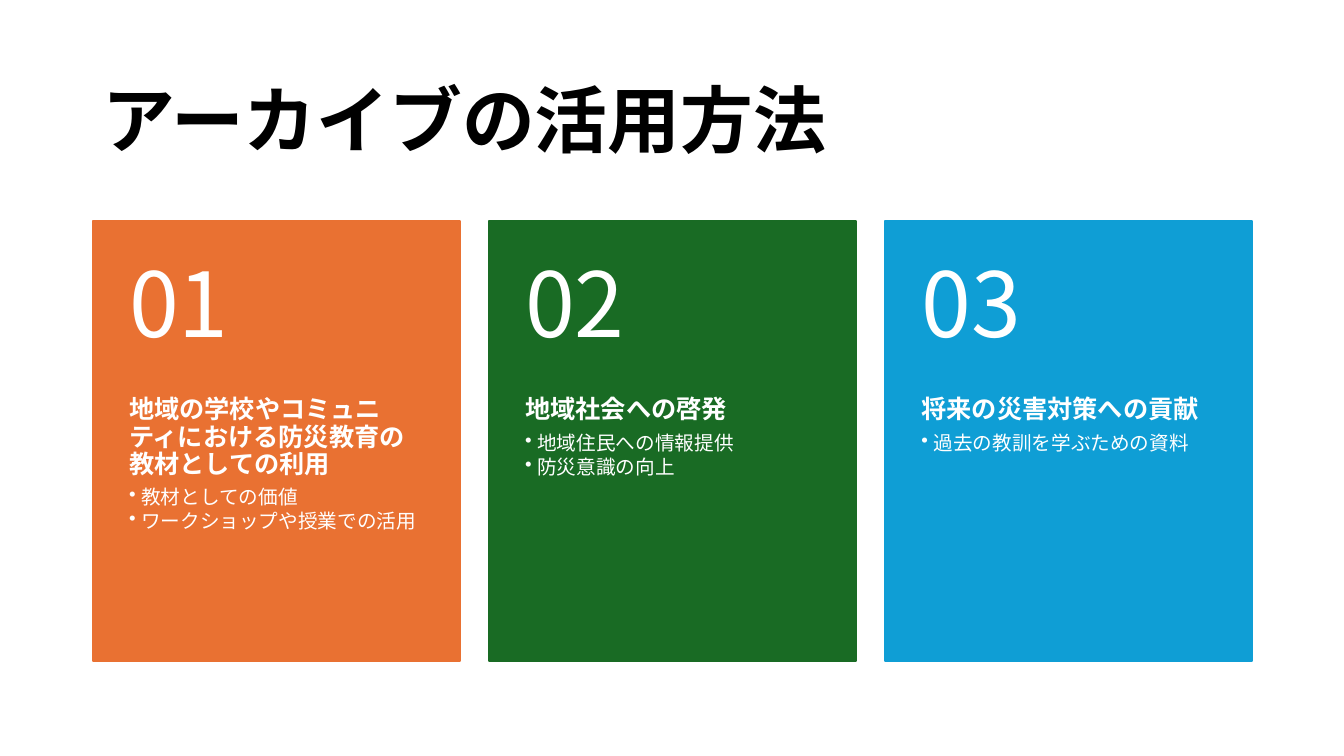
"""Build the slide on ways to use the archive: a title over three numbered cards."""
from dataclasses import dataclass

from lxml import etree
from pptx import Presentation
from pptx.dml.color import RGBColor
from pptx.enum.lang import MSO_LANGUAGE_ID
from pptx.enum.shapes import MSO_SHAPE
from pptx.enum.text import MSO_ANCHOR, MSO_AUTO_SIZE, PP_ALIGN
from pptx.oxml.ns import qn
from pptx.util import Inches, Pt

RECTANGLE = MSO_SHAPE.RECTANGLE
TOP, MIDDLE = MSO_ANCHOR.TOP, MSO_ANCHOR.MIDDLE
LEFT = PP_ALIGN.LEFT
NO_AUTOFIT = MSO_AUTO_SIZE.NONE
JAPANESE = MSO_LANGUAGE_ID.JAPANESE
TITLE_ONLY = 5


@dataclass(frozen=True)
class Theme:
    """Colours, font and type sizes of the slide."""
    font: str = "Noto Sans CJK JP"
    ink: str = "000000"
    on_card: str = "FFFFFF"
    cards: tuple = ("E97132", "196B24", "0F9ED5")
    title_size: int = 52
    number_size: int = 64
    heading_size: int = 18
    bullet_size: int = 14
    line_spacing: float = 0.9
    heading_gap: float = 0.35
    bullet_gap: float = 0.15


THEME = Theme()
SLIDE_WIDTH, SLIDE_HEIGHT = 13.33, 7.5
MARGIN, CONTENT_WIDTH = 0.92, 11.5
CARD_TOP, CARD_WIDTH, CARD_HEIGHT = 2.19, 3.64, 4.37
NUMBER_HEIGHT = 1.75
CARD_STEP = (CONTENT_WIDTH - CARD_WIDTH) / 2
INSET = 0.36
BULLET_INDENT = 0.12

CARDS = [
    ("地域の学校やコミュニティにおける防災教育の教材としての利用",
     ["教材としての価値", "ワークショップや授業での活用"]),
    ("地域社会への啓発", ["地域住民への情報提供", "防災意識の向上"]),
    ("将来の災害対策への貢献", ["過去の教訓を学ぶための資料"]),
]


def apply_format(target, values):
    """Set each named attribute of the target."""
    for attribute, value in values.items():
        setattr(target, attribute, value)


def write(paragraph, text, size, color, bold=False, gap=0):
    """Put one formatted run in a paragraph, with the gap as a share of its size."""
    apply_format(paragraph, {
        "alignment": LEFT, "line_spacing": THEME.line_spacing,
        "space_before": Pt(0), "space_after": Pt(size * gap)})
    run = paragraph.add_run()
    run.text = text
    apply_format(run.font, {
        "name": THEME.font, "size": Pt(size), "bold": bold,
        "language_id": JAPANESE})
    run.font.color.rgb = RGBColor.from_string(color)
    east_asian = etree.Element(qn("a:ea"), typeface=THEME.font)
    run.font._element.find(qn("a:latin")).addnext(east_asian)


def add_bullet(paragraph):
    """Give a paragraph a round bullet with a hanging indent."""
    paragraph.level = 1
    properties = paragraph._p.get_or_add_pPr()
    properties.set("marL", str(Inches(BULLET_INDENT)))
    properties.set("indent", str(-Inches(BULLET_INDENT)))
    etree.SubElement(properties, qn("a:buChar"), char="•")


def add_text_area(card, left, top, height, anchor, inset_top, inset_bottom):
    """Add a text box as wide as its card and return its text frame."""
    area = card.shapes.add_textbox(
        Inches(left), Inches(top), Inches(CARD_WIDTH), Inches(height))
    apply_format(area.text_frame, {
        "word_wrap": True, "auto_size": NO_AUTOFIT, "vertical_anchor": anchor,
        "margin_left": Inches(INSET), "margin_right": Inches(INSET),
        "margin_top": Inches(inset_top), "margin_bottom": Inches(inset_bottom)})
    return area.text_frame


def add_card(slide, position, color, heading, bullets):
    """Add a grouped card with its panel, heading, bullets and number."""
    left = MARGIN + position * CARD_STEP
    card = slide.shapes.add_group_shape()
    panel = card.shapes.add_shape(
        RECTANGLE, Inches(left), Inches(CARD_TOP),
        Inches(CARD_WIDTH), Inches(CARD_HEIGHT))
    panel.shadow.inherit = False
    panel.fill.solid()
    panel.fill.fore_color.rgb = RGBColor.from_string(color)
    panel.line.color.rgb = RGBColor.from_string(color)
    panel.line.width = Pt(1.5)

    body = add_text_area(card, left, CARD_TOP + NUMBER_HEIGHT,
                         CARD_HEIGHT - NUMBER_HEIGHT, TOP, 0, INSET)
    write(body.paragraphs[0], heading, THEME.heading_size, THEME.on_card,
          bold=True, gap=THEME.heading_gap)
    for bullet in bullets:
        paragraph = body.add_paragraph()
        write(paragraph, bullet, THEME.bullet_size, THEME.on_card,
              gap=THEME.bullet_gap)
        add_bullet(paragraph)

    number = add_text_area(card, left, CARD_TOP, NUMBER_HEIGHT,
                           MIDDLE, INSET / 2, INSET / 2)
    write(number.paragraphs[0], f"{position + 1:02}", THEME.number_size,
          THEME.on_card, gap=THEME.heading_gap)


def add_title(slide, text):
    """Place and format the title placeholder."""
    title = slide.shapes.title
    apply_format(title, {
        "left": Inches(MARGIN), "top": Inches(0.61),
        "width": Inches(CONTENT_WIDTH), "height": Inches(1.24)})
    apply_format(title.text_frame, {
        "word_wrap": True, "auto_size": NO_AUTOFIT, "vertical_anchor": MIDDLE})
    write(title.text_frame.paragraphs[0], text, THEME.title_size, THEME.ink, bold=True)


def main():
    """Build and save the presentation."""
    presentation = Presentation()
    presentation.slide_width = Inches(SLIDE_WIDTH)
    presentation.slide_height = Inches(SLIDE_HEIGHT)
    slide = presentation.slides.add_slide(presentation.slide_layouts[TITLE_ONLY])
    add_title(slide, "アーカイブの活用方法")
    for position, (color, (heading, bullets)) in enumerate(zip(THEME.cards, CARDS)):
        add_card(slide, position, color, heading, bullets)
    presentation.save("out.pptx")


if __name__ == "__main__":
    main()
